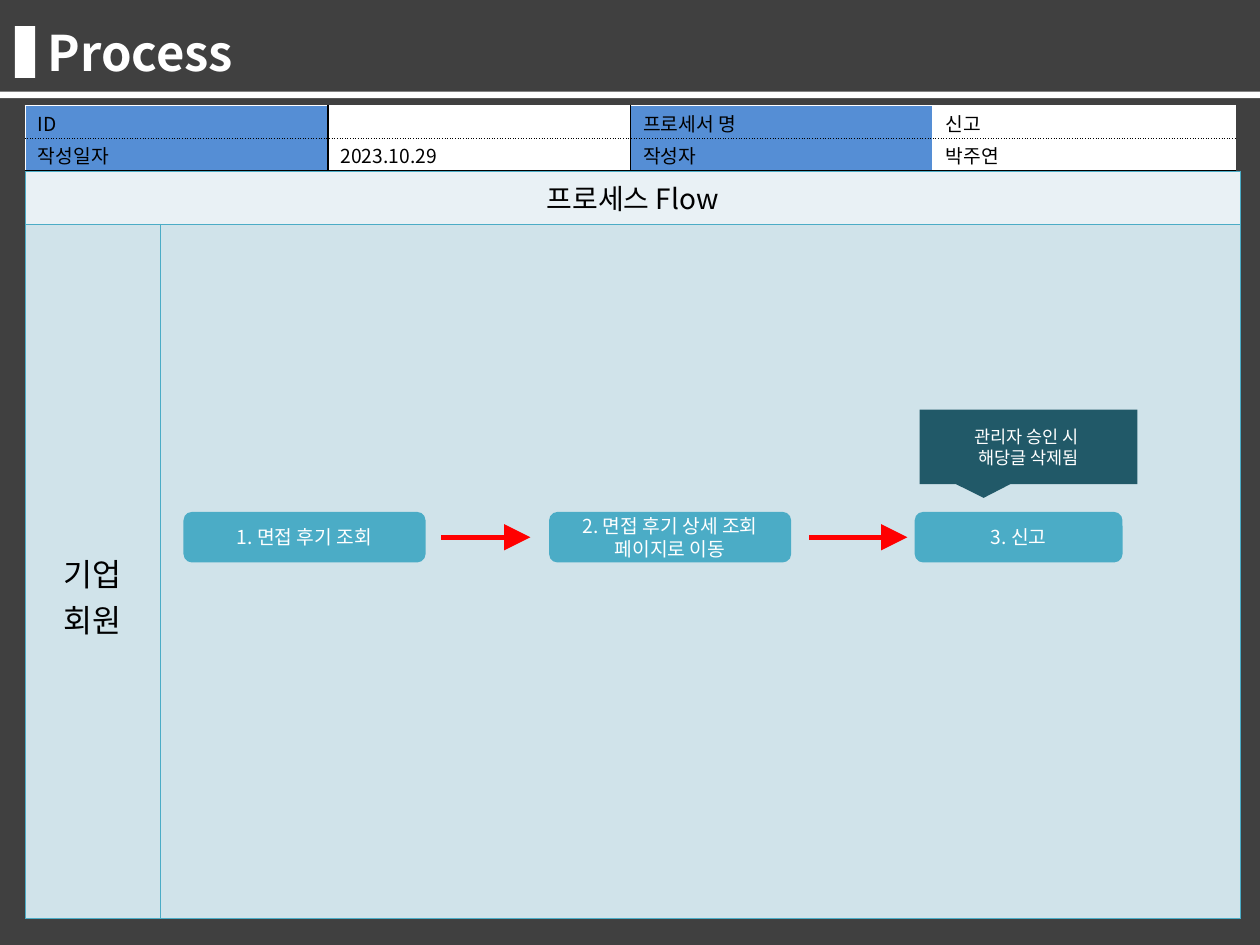
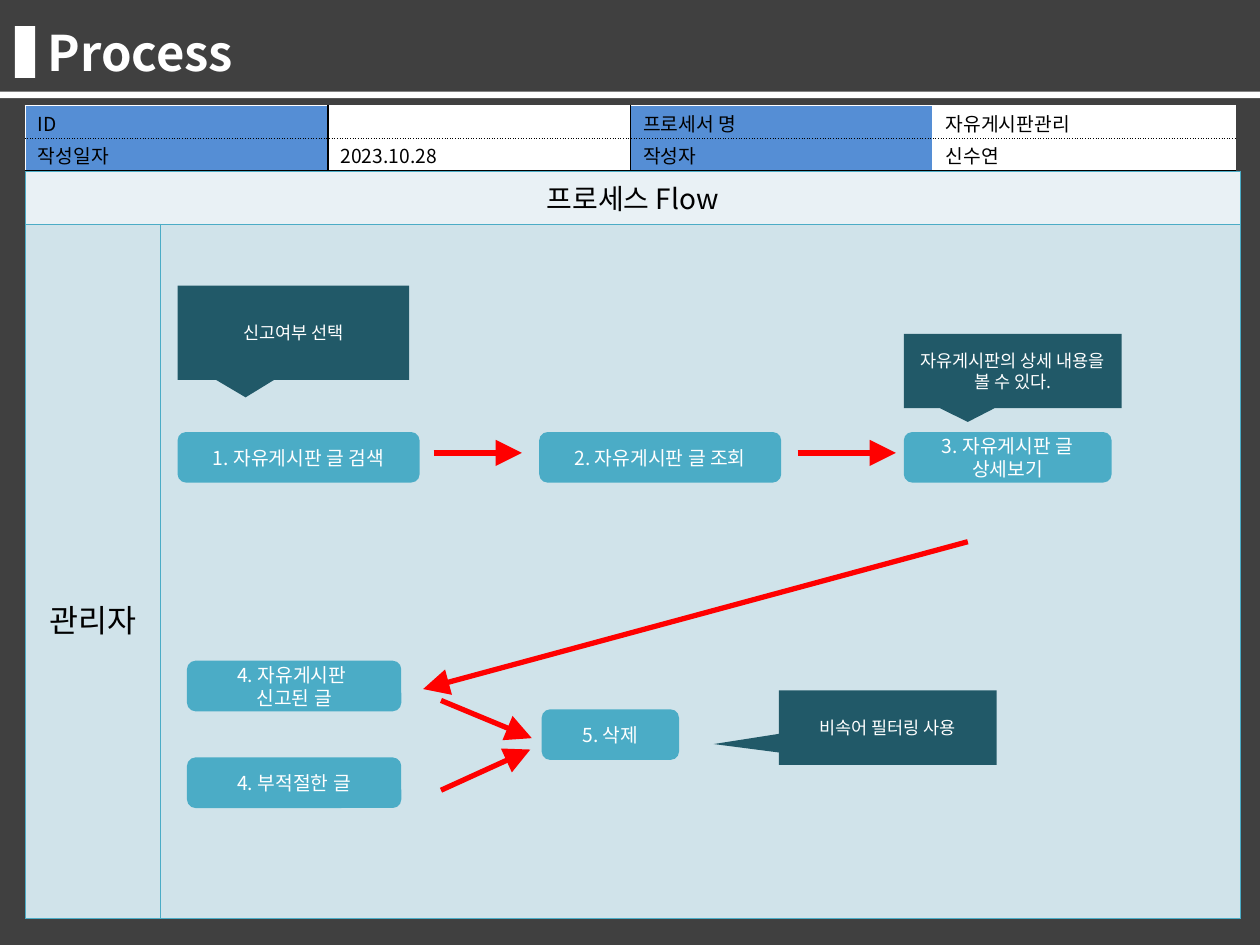
import lxml.etree
import pptx
import pptx.dml.color
import pptx.enum.shapes
import pptx.enum.text
import pptx.oxml.ns
import pptx.util

Cm = pptx.util.Cm
Pt = pptx.util.Pt
RGB = pptx.dml.color.RGBColor
SHAPE = pptx.enum.shapes.MSO_SHAPE
ALIGN = pptx.enum.text.PP_ALIGN
ANCHOR = pptx.enum.text.MSO_ANCHOR
qn = pptx.oxml.ns.qn

FONT = "Noto Sans CJK KR"
WHITE = RGB(0xFF, 0xFF, 0xFF)
BLACK = RGB(0x00, 0x00, 0x00)
GRAY = RGB(0x40, 0x40, 0x40)
BLUE = RGB(0x55, 0x8E, 0xD5)
TEAL = RGB(0x4B, 0xAC, 0xC6)
DEEP = RGB(0x21, 0x59, 0x68)
PALE = RGB(0xE9, 0xF1, 0xF5)
LIGHT = RGB(0xD0, 0xE3, 0xEA)
RED = RGB(0xFF, 0x00, 0x00)

# Boxes are left, top, width, height in centimetres.
PAGE = (0, 0, 25.4, 19.05)
HEAD = (0, 0, 25.4, 1.98)
INFO = (0.51, 2.13, 24.4, 1.32)
FLOW = (0.51, INFO[1] + INFO[3], 24.49, 15.07)
SIDE = 2.72    # width of the role column
BAR = 1.07     # height of the flow heading
STEP = 1.02    # height of a step
LABEL = 5.59   # space below the role label
WIDE, SLIM = 4.88, 4.19
DOWN = (-0.206, 0.685)
LEFT = (-0.799, 0.22)


def write(frame, text, size, color, align=ALIGN.LEFT, bold=False):
    """Fill a text frame, one paragraph a line, and set its font."""
    frame.text = text
    frame.word_wrap = True
    for para in frame.paragraphs:
        para.alignment = align
        font = para.font
        font.size, font.bold, font.name = Pt(size), bold, FONT
        font.color.rgb = color
        props = para._p.get_or_add_pPr().get_or_add_defRPr()
        east = lxml.etree.Element(qn("a:ea"), typeface=FONT)
        props.find(qn("a:latin")).addnext(east)


def draw(slide, kind, box, fill):
    """Add a plain filled shape."""
    shape = slide.shapes.add_shape(kind, *map(Cm, box))
    shape.shadow.inherit = False
    shape.fill.solid()
    shape.fill.fore_color.rgb = fill
    shape.line.fill.background()
    return shape


def edge(cell, sides, width=1):
    """Set borders from a map of side to (colour, dash)."""
    props = cell._tc.get_or_add_tcPr()
    for side in "LRTB":
        color, dash = sides[side]
        line = lxml.etree.SubElement(props, qn("a:ln" + side),
                                     w=str(Pt(width)))
        fill = lxml.etree.SubElement(line, qn("a:solidFill"))
        lxml.etree.SubElement(fill, qn("a:srgbClr"), val=str(color))
        lxml.etree.SubElement(line, qn("a:prstDash"), val=dash)


def paint(cell, color):
    """Fill a cell."""
    cell.fill.solid()
    cell.fill.fore_color.rgb = color


def grid(slide, box, cols, rows):
    """Add a table without banding, with given column and row sizes."""
    table = slide.shapes.add_table(len(rows), len(cols), *map(Cm, box)).table
    table.first_row = table.horz_banding = False
    for col, width in zip(table.columns, cols):
        col.width = Cm(width)
    for row, height in zip(table.rows, rows):
        row.height = Cm(height)
    return table


def head(slide, box):
    """Draw the dark page, the title and its white marks."""
    left, top, width, height = box
    back = draw(slide, SHAPE.RECTANGLE, PAGE, GRAY)
    slide.shapes._spTree.insert(2, back._element)
    title = slide.shapes.title
    title.left, title.top = Cm(left + 0.71), Cm(top + 0.32)
    title.width, title.height = Cm(22.81), Cm(1.45)
    frame = title.text_frame
    write(frame, "Process", 28, WHITE, bold=True)
    frame.auto_size = pptx.enum.text.MSO_AUTO_SIZE.NONE
    frame.vertical_anchor = ANCHOR.MIDDLE
    draw(slide, SHAPE.RECTANGLE, (left + 0.3, top + 0.53, 0.41, 1.04), WHITE)
    rule = 0.13
    draw(slide, SHAPE.RECTANGLE, (left, top + height - rule, width, rule), WHITE)


def info(slide, box, name, date, author):
    """Draw the table of labels and values."""
    rows = (("ID ", "", "프로세서 명", name),
            ("작성일자", date, "작성자", author))
    table = grid(slide, box, [box[2] / 4] * 4, [box[3] / 2] * 2)
    posts = [(color, "solid") for color in (WHITE, BLACK, BLACK, WHITE, WHITE)]
    rails = [(WHITE, "solid"), (BLACK, "sysDot"), (BLACK, "solid")]
    for i, row in enumerate(rows):
        for j, text in enumerate(row):
            cell = table.cell(i, j)
            cell.margin_top, cell.margin_bottom = Cm(0.06), Cm(0)
            write(cell.text_frame, text, 11, BLACK)
            edge(cell, {"L": posts[j], "R": posts[j + 1],
                        "T": rails[i], "B": rails[i + 1]})
            paint(cell, WHITE if j % 2 else BLUE)


def lane(slide, box, role):
    """Draw the flow frame and return the left and top of its free area."""
    left, top, width, height = box
    table = grid(slide, box, (SIDE, width - SIDE), (BAR, height - BAR))
    for cell in table.iter_cells():
        edge(cell, dict.fromkeys("LRTB", (TEAL, "solid")), 0.75)
    for i, color in enumerate((PALE, LIGHT)):
        for j in range(2):
            paint(table.cell(i, j), color)
    top_cell, side = table.cell(0, 0), table.cell(1, 0)
    top_cell.merge(table.cell(0, 1))
    top_cell.vertical_anchor = ANCHOR.MIDDLE
    write(top_cell.text_frame, "프로세스 Flow", 16, BLACK, ALIGN.CENTER)
    side.vertical_anchor = ANCHOR.BOTTOM
    side.margin_bottom = Cm(LABEL)
    write(side.text_frame, role, 18, BLACK, ALIGN.CENTER)
    return left + SIDE, top + BAR


def chart(slide, start, steps, notes, links):
    """Draw steps, notes and arrows relative to the start corner."""
    x0, y0 = start
    for x, y, width, text in steps:
        shape = draw(slide, SHAPE.ROUNDED_RECTANGLE,
                     (x0 + x, y0 + y, width, STEP), TEAL)
        shape.text_frame.vertical_anchor = ANCHOR.MIDDLE
        write(shape.text_frame, text, 11, WHITE, ALIGN.CENTER)
    for x, y, width, height, tip, text in notes:
        shape = draw(slide, SHAPE.RECTANGULAR_CALLOUT,
                     (x0 + x, y0 + y, width, height), DEEP)
        shape.adjustments[0], shape.adjustments[1] = tip
        shape.text_frame.vertical_anchor = ANCHOR.MIDDLE
        write(shape.text_frame, text, 10, WHITE, ALIGN.CENTER)
    for x1, y1, x2, y2 in links:
        line = slide.shapes.add_connector(
            pptx.enum.shapes.MSO_CONNECTOR.STRAIGHT,
            Cm(x0 + x1), Cm(y0 + y1), Cm(x0 + x2), Cm(y0 + y2))
        line.line.color.rgb = RED
        line.line.width = Pt(3)
        lxml.etree.SubElement(line.line._get_or_add_ln(), qn("a:tailEnd"),
                              type="triangle", w="lg", len="lg")
        lxml.etree.SubElement(line._element.spPr, qn("a:effectLst"))


def build(deck, facts, role, steps, notes, links):
    """Add one process slide."""
    slide = deck.slides.add_slide(deck.slide_layouts[5])
    head(slide, HEAD)
    info(slide, INFO, *facts)
    chart(slide, lane(slide, FLOW, role), steps, notes, links)


def main():
    """Build and save the deck."""
    deck = pptx.Presentation()
    deck.slide_width, deck.slide_height = Cm(PAGE[2]), Cm(PAGE[3])
    build(
        deck, ("신고", "2023.10.29", "박주연"), "기업\n회원",
        steps=[(0.47, 5.8, WIDE, "1. 면접 후기 조회"),
               (7.84, 5.8, WIDE, "2. 면접 후기 상세 조회\n페이지로 이동"),
               (15.21, 5.8, SLIM, "3. 신고")],
        notes=[(15.31, 3.74, 4.39, 1.5, DOWN, "관리자 승인 시 \n해당글 삭제됨")],
        links=[(5.66, 6.31, 7.46, 6.31), (13.08, 6.31, 15.06, 6.31)])
    build(
        deck, ("자유게시판관리", "2023.10.28", "신수연"), "관리자",
        steps=[(0.35, 4.19, WIDE, "1. 자유게시판 글 검색"),
               (7.64, 4.19, WIDE, "2. 자유게시판 글 조회"),
               (14.99, 4.19, SLIM, "3. 자유게시판 글\n상세보기"),
               (0.54, 8.8, 4.32, "4. 자유게시판 \n신고된 글"),
               (0.54, 10.75, 4.32, "4. 부적절한 글"),
               (7.69, 9.78, 2.77, "5. 삭제")],
        notes=[(0.35, 1.24, 4.67, 1.9, DOWN, "신고여부 선택"),
               (14.99, 2.21, 4.39, 1.5, DOWN,
                "자유게시판의 상세 내용을 볼 수 있다."),
               (12.47, 9.4, 4.39, 1.5, LEFT, "비속어 필터링 사용")],
        links=[(5.51, 4.61, 7.29, 4.61), (12.85, 4.61, 14.83, 4.61),
               (16.28, 6.4, 5.3, 9.37), (5.66, 9.6, 7.49, 10.36),
               (5.66, 11.41, 7.46, 10.59)])
    deck.save("out.pptx")


main()
